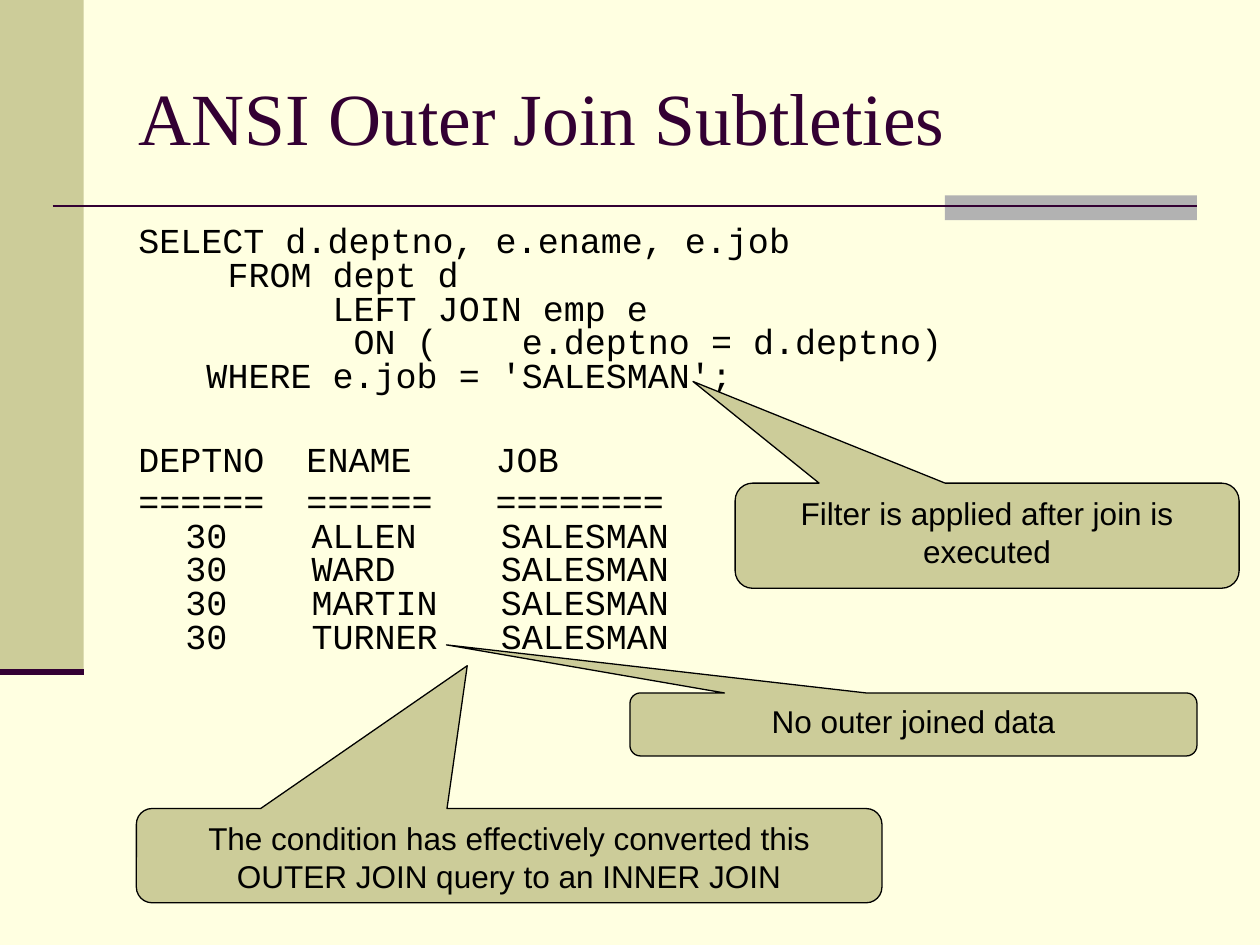
from dataclasses import dataclass

from lxml.etree import SubElement
from pptx import Presentation
from pptx.dml.color import RGBColor
from pptx.enum.shapes import MSO_CONNECTOR, MSO_SHAPE
from pptx.enum.text import MSO_ANCHOR, PP_ALIGN
from pptx.oxml.ns import qn
from pptx.util import Cm, Pt


@dataclass(frozen=True)
class Theme:
    """Colours, fonts and type sizes of the slide."""
    background: RGBColor = RGBColor(0xFF, 0xFF, 0xE1)
    panel: RGBColor = RGBColor(0xCC, 0xCC, 0x99)
    accent: RGBColor = RGBColor(0xB2, 0xB2, 0xB2)
    dark: RGBColor = RGBColor(0x33, 0x00, 0x33)
    ink: RGBColor = RGBColor(0x00, 0x00, 0x00)
    title_font: str = "Times New Roman"
    code_font: str = "Courier New"
    note_font: str = "Arial"
    title_size: int = 42
    code_size: int = 20
    note_size: int = 18


THEME = Theme()

QUERY = """SELECT d.deptno, e.ename, e.job
  FROM dept d
       LEFT JOIN emp e
        ON (    e.deptno = d.deptno)
 WHERE e.job = 'SALESMAN';"""
HEADINGS = "DEPTNO  ENAME    JOB"
ROWS = """======  ======   ========
30    ALLEN    SALESMAN
30    WARD     SALESMAN
30    MARTIN   SALESMAN
30    TURNER   SALESMAN"""

CALLOUTS = [
    ("Filter is applied after join is executed",
     (14.82, 9.74, 10.16, 2.12), (13.97, 7.69)),
    ("No outer joined data",
     (12.7, 13.97, 11.43, 1.27), (9, 13)),
    ("The condition has effectively converted this OUTER JOIN query to an INNER JOIN",
     (2.75, 16.3, 15.03, 1.9), (9.42, 13.42)),
]


def style_runs(paragraph, font_name, size, color):
    """Format every run of a paragraph."""
    for run in paragraph.runs:
        run.font.name = font_name
        run.font.size = Pt(size)
        run.font.color.rgb = color


def add_block(slide, box, color):
    """Add a plain filled rectangle."""
    block = slide.shapes.add_shape(MSO_SHAPE.RECTANGLE, *map(Cm, box))
    block.shadow.inherit = False
    block.fill.solid()
    block.fill.fore_color.rgb = color
    block.line.fill.background()


def add_rule(slide, left, right, y, width):
    """Add a horizontal dark rule."""
    rule = slide.shapes.add_connector(
        MSO_CONNECTOR.STRAIGHT, Cm(left), Cm(y), Cm(right), Cm(y))
    rule.line.color.rgb = THEME.dark
    rule.line.width = Pt(width)
    SubElement(rule._element.spPr, qn("a:effectLst"))


def add_decoration(slide, box):
    """Add the side panel, the accent bar and their rules."""
    left, top, width, height = box
    panel_width, panel_height = 1.69, 13.55
    accent_width, accent_top, accent_height = 5.08, 3.94, 0.5
    right = left + width - 1.27
    add_block(slide, (left, top, panel_width, panel_height), THEME.panel)
    add_block(slide, (right - accent_width, top + accent_top, accent_width, accent_height),
              THEME.accent)
    add_rule(slide, left + 1.06, right, top + 4.15, 1.5)
    add_rule(slide, left, left + panel_width, top + panel_height, 3.5)


def add_title(slide, box, text):
    """Add the slide title."""
    frame = slide.shapes.add_textbox(*map(Cm, box)).text_frame
    frame.word_wrap = True
    frame.vertical_anchor = MSO_ANCHOR.MIDDLE
    frame.text = text
    style_runs(frame.paragraphs[0], THEME.title_font, THEME.title_size, THEME.dark)


def add_listing(slide, box):
    """Add the query and its result as hanging-indent code."""
    frame = slide.shapes.add_textbox(*map(Cm, box)).text_frame
    frame.word_wrap = True
    for index, (text, space) in enumerate([(QUERY, 0), (HEADINGS, 28.8), (ROWS, 5)]):
        paragraph = frame.add_paragraph() if index else frame.paragraphs[0]
        paragraph.text = text
        paragraph.line_spacing = 0.8
        paragraph.space_before = Pt(space)
        properties = paragraph._p.get_or_add_pPr()
        properties.set("marL", str(Cm(0.95)))
        properties.set("indent", str(Cm(-0.95)))
        style_runs(paragraph, THEME.code_font, THEME.code_size, THEME.ink)


def add_callout(slide, box, tip, text):
    """Add a rounded callout whose tail ends at the tip."""
    left, top, width, height = box
    callout = slide.shapes.add_shape(MSO_SHAPE.ROUNDED_RECTANGULAR_CALLOUT, *map(Cm, box))
    callout.adjustments[0] = (tip[0] - left) / width - 0.5
    callout.adjustments[1] = (tip[1] - top) / height - 0.5
    callout.shadow.inherit = False
    callout.fill.solid()
    callout.fill.fore_color.rgb = THEME.panel
    callout.line.color.rgb = THEME.ink
    callout.line.width = Pt(0.75)
    frame = callout.text_frame
    frame.word_wrap = True
    frame.vertical_anchor = MSO_ANCHOR.TOP
    frame.text = text
    paragraph = frame.paragraphs[0]
    paragraph.alignment = PP_ALIGN.CENTER
    style_runs(paragraph, THEME.note_font, THEME.note_size, THEME.ink)


def main():
    """Build the slide and save it."""
    presentation = Presentation()
    presentation.slide_width, presentation.slide_height = Cm(25.4), Cm(19.05)
    slide = presentation.slides.add_slide(presentation.slide_layouts[6])
    slide.background.fill.solid()
    slide.background.fill.fore_color.rgb = THEME.background
    add_decoration(slide, (0, 0, 25.4, 19.05))
    add_title(slide, (2.54, 0.76, 21.59, 3.18), "ANSI Outer Join Subtleties")
    add_listing(slide, (2.54, 4.45, 21.59, 12.57))
    for text, box, tip in CALLOUTS:
        add_callout(slide, box, tip, text)
    presentation.save("out.pptx")


if __name__ == "__main__":
    main()
